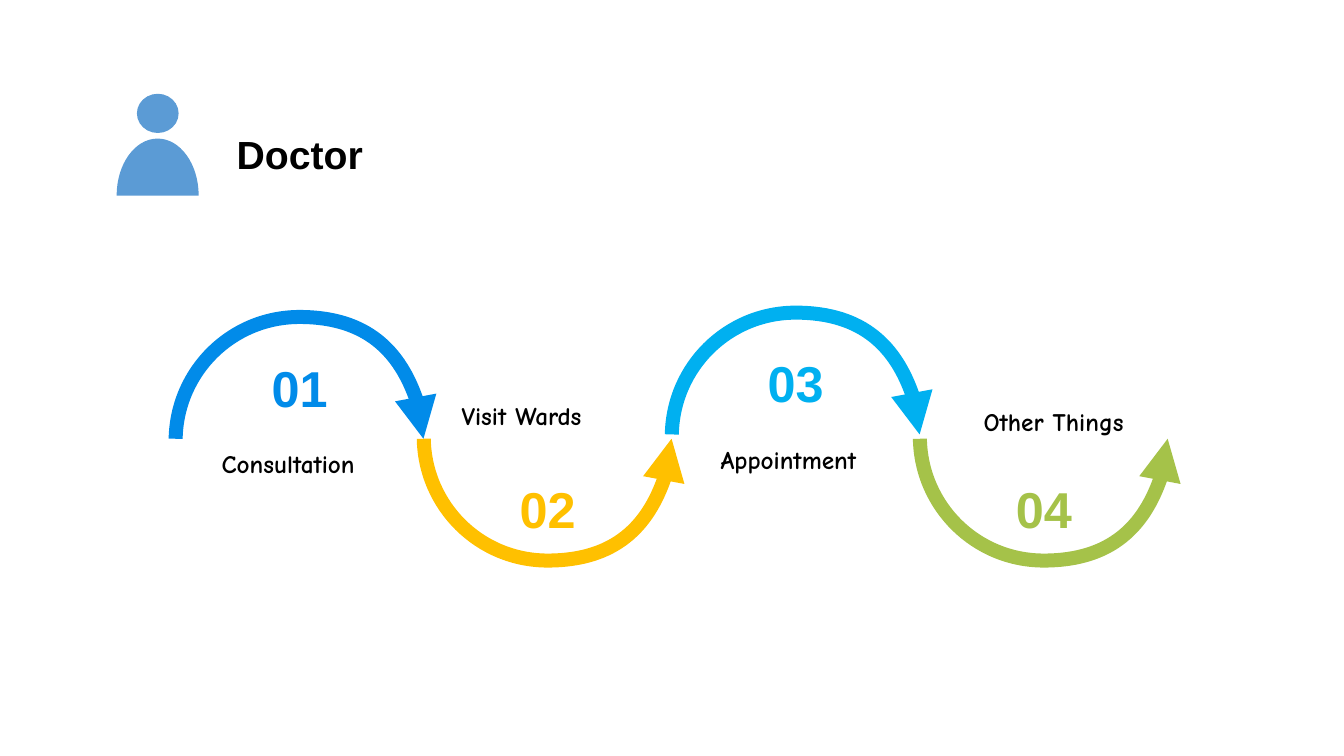
"""Build a slide showing a doctor's four tasks along a wave of arrows."""
from lxml.etree import SubElement
from pptx import Presentation
from pptx.dml.color import RGBColor
from pptx.enum.shapes import MSO_SHAPE
from pptx.enum.text import MSO_ANCHOR, PP_ALIGN
from pptx.oxml.ns import qn
from pptx.util import Pt

COLORS = {"blue": "018BE9", "amber": "FFC000", "sky": "00B0F0",
          "green": "A5C249", "person": "5B9BD5", "black": "000000"}


def add_curve(shapes, points, close=False):
    start, *rest = [(Pt(x), Pt(y)) for x, y in points]
    builder = shapes.build_freeform(*start)
    builder.add_line_segments(rest, close=close)
    shape = builder.convert_to_shape()
    shape.shadow.inherit = False
    lines = shape._element.xpath(".//a:lnTo")
    for index in range(0, 6, 3):
        curve = lines[index].makeelement(qn("a:cubicBezTo"))
        lines[index].addprevious(curve)
        for line in lines[index:index + 3]:
            curve.append(line[0])
            line.getparent().remove(line)
    return shape


def write(shape, text, size, font, color, align, anchor, spacing):
    frame = shape.text_frame
    frame.word_wrap = True
    frame.vertical_anchor = anchor
    paragraph = frame.paragraphs[0]
    paragraph.text = text
    paragraph.alignment = align
    paragraph.line_spacing = spacing
    paragraph.font.size = Pt(size)
    paragraph.font.name = font
    paragraph.font.bold = True
    paragraph.font.color.rgb = RGBColor.from_string(COLORS[color])


presentation = Presentation()
presentation.slide_width = Pt(960)
presentation.slide_height = Pt(540)
slide = presentation.slides.add_slide(presentation.slide_layouts[6])

ARC_LEFT, ARC_STEP, ARC_WIDTH, ARC_HEIGHT = 125.5, 177.2, 177, 87
steps = [
    ("Consultation", "blue", 313.4, (151.2, 310.3, 139, 92)),
    ("Visit Wards", "amber", 313.4, (322.6, 265, 144, 46)),
    ("Appointment", "sky", 310.3, (507.6, 307.4, 139, 92)),
    ("Other Things", "green", 313.4, (695.5, 223.2, 139, 92)),
]
for index, (label, color, baseline, label_box) in enumerate(steps):
    left = ARC_LEFT + index * ARC_STEP
    right, middle = left + ARC_WIDTH, left + ARC_WIDTH / 2
    direction = 1 if index % 2 else -1
    shoulder = baseline + direction * 48.2
    peak = baseline + direction * ARC_HEIGHT
    step = slide.shapes.add_group_shape().shapes

    arrow = add_curve(step, [
        (left, baseline), (left + 0.9, shoulder), (left + 39.8, peak), (middle, peak),
        (right - 39.8, peak), (right - 0.9, shoulder), (right, baseline)])
    arrow.fill.background()
    arrow.line.width = Pt(10)
    arrow.line.color.rgb = RGBColor.from_string(COLORS[color])
    SubElement(arrow.line._get_or_add_ln(), qn("a:tailEnd"), type="triangle")
    write(arrow, f"{index + 1:02}", 36, "Arial", color,
          PP_ALIGN.CENTER, MSO_ANCHOR.MIDDLE, 1.3)

    caption = step.add_textbox(*map(Pt, label_box))
    write(caption, label, 18, "Comic Neue", "black", PP_ALIGN.JUSTIFY,
          MSO_ANCHOR.BOTTOM if index % 2 else MSO_ANCHOR.TOP, 1.3)

doctor = slide.shapes.add_group_shape().shapes
body = add_curve(doctor, [
    (83.3, 139.7), (83.3, 117.2), (96.4, 99), (112.6, 99),
    (128.8, 99), (141.9, 117.2), (141.9, 139.7)], close=True)
head = doctor.add_shape(MSO_SHAPE.OVAL, Pt(97.8), Pt(67), Pt(29.8), Pt(28))
head.shadow.inherit = False
for part in (body, head):
    part.fill.solid()
    part.fill.fore_color.rgb = RGBColor.from_string(COLORS["person"])
    part.line.fill.background()
title = doctor.add_textbox(Pt(162), Pt(89.3), Pt(160.5), Pt(41))
write(title, "Doctor", 28, "Arial", "black", PP_ALIGN.LEFT, MSO_ANCHOR.TOP, 1)

presentation.save("out.pptx")
